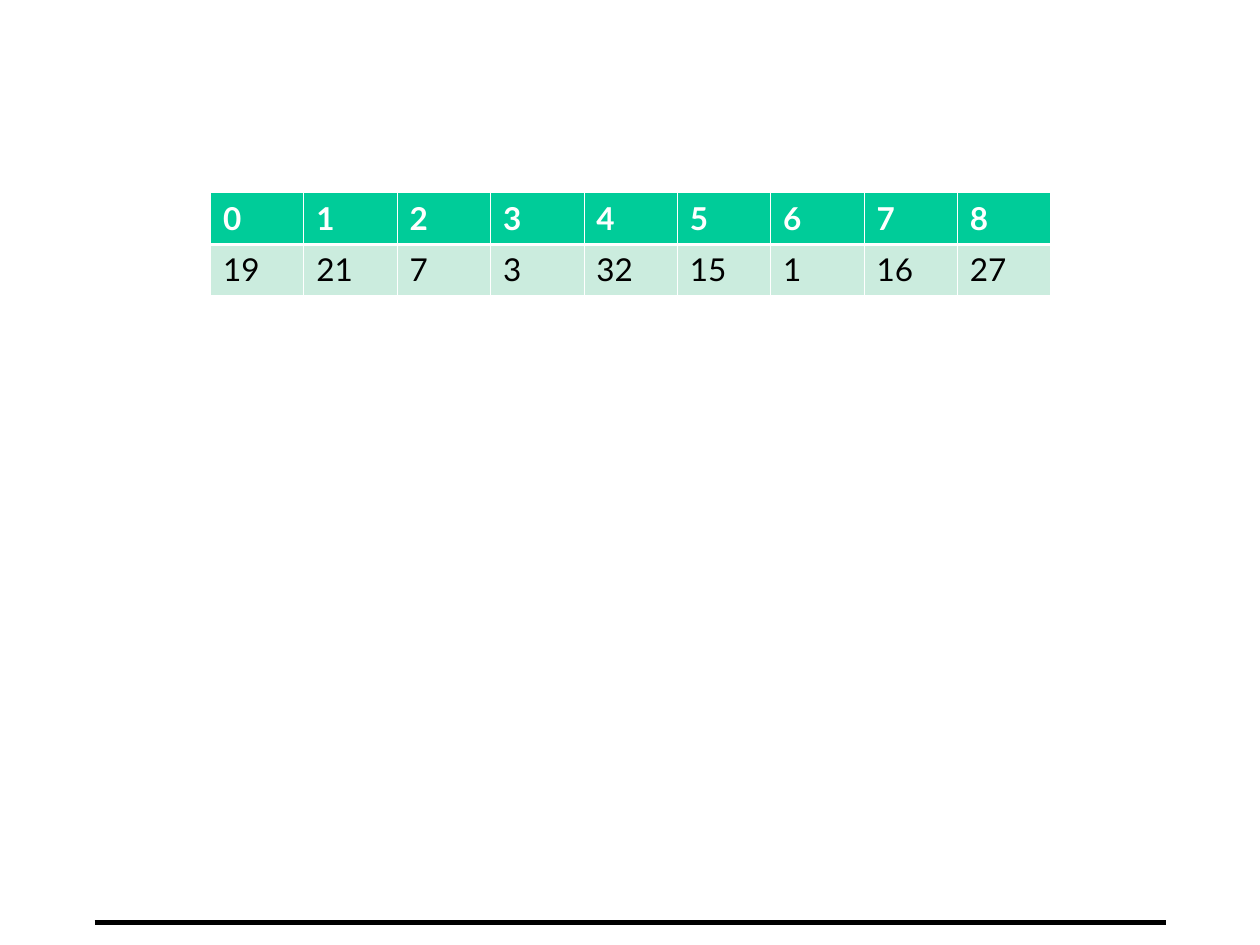
from lxml import etree
from pptx import Presentation
from pptx.dml.color import RGBColor
from pptx.enum.shapes import MSO_CONNECTOR
from pptx.oxml.ns import qn
from pptx.util import Inches, Pt

STRAIGHT = MSO_CONNECTOR.STRAIGHT
BLACK = RGBColor(0x00, 0x00, 0x00)
WHITE = RGBColor(0xFF, 0xFF, 0xFF)
GREEN = RGBColor(0x00, 0xCC, 0x99)
PALE_GREEN = RGBColor(0xCB, 0xEC, 0xDE)

BLANK_LAYOUT = 6
THIN, THICK = Pt(0.45), Pt(1.47)
VALUES = [19, 21, 7, 3, 32, 15, 1, 16, 27]
ROW_HEIGHTS = [0.41, 0.4]

HEADER = {
    "fill": GREEN,
    "font": {"bold": True},
    "color": WHITE,
    "borders": {"lnL": THIN, "lnR": THIN, "lnT": THIN, "lnB": THICK},
}
BODY = {
    "fill": PALE_GREEN,
    "font": {"bold": False},
    "color": BLACK,
    "borders": {"lnL": THIN, "lnR": THIN, "lnT": THICK, "lnB": THIN},
}
BASE_FONT = {"name": "Lato", "size": Pt(18)}


def add_rule(page, left, right, top):
    """Draw a horizontal line across the page."""
    rule = page.shapes.add_connector(
        STRAIGHT, Inches(left), Inches(top), Inches(right), Inches(top))
    rule.line.color.rgb = BLACK
    rule.line.width = Pt(3)
    etree.SubElement(rule._element.spPr, qn("a:effectLst"))


def set_borders(cell, borders):
    """Give each side of a cell a white line; call before filling the cell."""
    properties = cell._tc.get_or_add_tcPr()
    for side, width in borders.items():
        line = etree.SubElement(properties, qn(f"a:{side}"), w=str(width))
        fill = etree.SubElement(line, qn("a:solidFill"))
        etree.SubElement(fill, qn("a:srgbClr"), val=str(WHITE))


def format_cell(cell, value, style):
    cell.text = str(value)
    set_borders(cell, style["borders"])
    cell.fill.solid()
    cell.fill.fore_color.rgb = style["fill"]
    font = cell.text_frame.paragraphs[0].runs[0].font
    for name, setting in {**BASE_FONT, **style["font"]}.items():
        setattr(font, name, setting)
    font.color.rgb = style["color"]


def add_array_table(page, values, left, top, width):
    """Show an array with its indices in the header row."""
    rows = [(range(len(values)), HEADER), (values, BODY)]
    table = page.shapes.add_table(
        len(rows), len(values), Inches(left), Inches(top),
        Inches(width), Inches(sum(ROW_HEIGHTS))).table
    for column in table.columns:
        column.width = Inches(width / len(values))
    for row, height, (numbers, style) in zip(table.rows, ROW_HEIGHTS, rows):
        row.height = Inches(height)
        for cell, number in zip(row.cells, numbers):
            format_cell(cell, number, style)


def main():
    deck = Presentation()
    deck.slide_width, deck.slide_height = Inches(10), Inches(7.5)
    page = deck.slides.add_slide(deck.slide_layouts[BLANK_LAYOUT])

    # Footer rule
    add_rule(page, left=0.75, right=9.25, top=7.32)

    # Array of values under their indices
    add_array_table(page, VALUES, left=1.67, top=1.53, width=6.67)

    deck.save("out.pptx")


if __name__ == "__main__":
    main()
